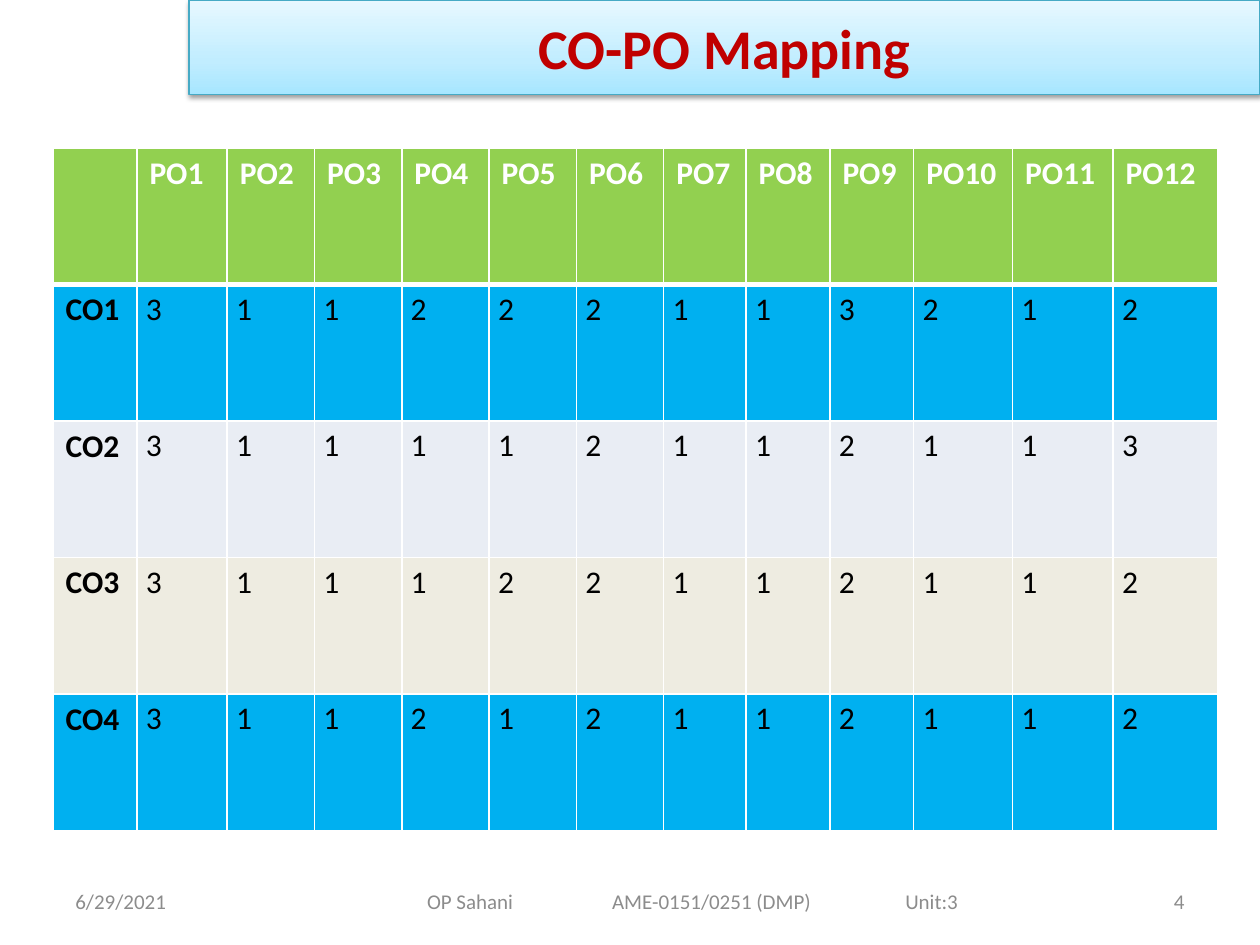
import dataclasses

import lxml.etree
import pptx
import pptx.dml.color
import pptx.enum.shapes
import pptx.enum.text
import pptx.oxml.ns
import pptx.util

Cm = pptx.util.Cm
Pt = pptx.util.Pt
ALIGN = pptx.enum.text.PP_ALIGN


@dataclasses.dataclass(frozen=True)
class Theme:
    """Colours, font and type sizes of the slide."""

    font: str = "Calibri"
    title_size: int = 32
    table_size: int = 18
    footer_size: int = 12
    title: str = "C00000"
    banner_line: str = "46AAC5"
    banner_stops: tuple = ((0, "A7E6FF"), (35, "C1EDFF"), (100, "E7F8FF"))
    shadow: str = "000000"
    footer: str = "8C8C8C"
    header_fill: str = "92D050"
    header_text: str = "FFFFFF"
    body_text: str = "000000"
    grid: str = "FFFFFF"
    row_fills: tuple = ("00B0F0", "E9EDF4", "EEECE1", "00B0F0")


THEME = Theme()
OUTCOMES = {
    "CO1": (3, 1, 1, 2, 2, 2, 1, 1, 3, 2, 1, 2),
    "CO2": (3, 1, 1, 1, 1, 2, 1, 1, 2, 1, 1, 3),
    "CO3": (3, 1, 1, 1, 2, 2, 1, 1, 2, 1, 1, 2),
    "CO4": (3, 1, 1, 2, 1, 2, 1, 1, 2, 1, 1, 2),
}
COLUMN_WIDTHS = (1.69, 1.82, *[1.76] * 5, 1.66, 1.69, 1.69, 1.99, 2.03, 2.11)


def rgb(code):
    """Return the colour for a hex code."""
    return pptx.dml.color.RGBColor.from_string(code)


def add_xml(parent, tag, **attributes):
    """Append a DrawingML element and return it."""
    values = {key: str(value) for key, value in attributes.items()}
    return lxml.etree.SubElement(parent, pptx.oxml.ns.qn(tag), values)


def write(frame, text, size, color, bold=False, align=ALIGN.LEFT):
    """Set the text of a frame, format it and return its paragraph."""
    frame.text = text
    paragraph = frame.paragraphs[0]
    paragraph.alignment = align
    for run in paragraph.runs:
        run.font.name = THEME.font
        run.font.size = Pt(size)
        run.font.bold = bold
        run.font.color.rgb = rgb(color)
    return paragraph


def add_banner(slide, left, top, width, height):
    """Draw the title banner with its gradient and soft shadow."""
    banner = slide.shapes.add_shape(
        pptx.enum.shapes.MSO_SHAPE.RECTANGLE, Cm(left), Cm(top), Cm(width), Cm(height)
    )
    banner.fill.gradient()
    banner.fill.gradient_angle = 90
    properties = banner.element.spPr
    stops = properties.find(".//" + pptx.oxml.ns.qn("a:gsLst"))
    stops.clear()
    for position, color in THEME.banner_stops:
        stop = add_xml(stops, "a:gs", pos=position * 1000)
        add_xml(stop, "a:srgbClr", val=color)
    banner.line.color.rgb = rgb(THEME.banner_line)
    banner.line.width = Pt(0.75)
    banner.shadow.inherit = False
    effects = properties.find(pptx.oxml.ns.qn("a:effectLst"))
    shadow = add_xml(
        effects, "a:outerShdw", blurRad=Pt(3.1), dist=Pt(1.6), dir=5400000, rotWithShape=0
    )
    add_xml(add_xml(shadow, "a:srgbClr", val=THEME.shadow), "a:alpha", val=38000)
    write(banner.text_frame, "CO-PO Mapping", THEME.title_size, THEME.title, True, ALIGN.CENTER)


def border_header(cell):
    """Give a header cell thin sides and a thick lower edge."""
    properties = cell._tc.get_or_add_tcPr()
    for index, (side, width) in enumerate((("L", 1), ("R", 1), ("T", 1), ("B", 3))):
        edge = add_xml(properties, f"a:ln{side}", w=Pt(width))
        add_xml(add_xml(edge, "a:solidFill"), "a:srgbClr", val=THEME.grid)
        properties.insert(index, edge)


def add_mapping(slide, left, top, width, height):
    """Draw the table of course outcomes against programme outcomes."""
    header = ["", *(f"PO{number}" for number in range(1, 13))]
    rows = [header, *([outcome, *levels] for outcome, levels in OUTCOMES.items())]
    fills = (THEME.header_fill, *THEME.row_fills)
    mapping = slide.shapes.add_table(
        len(rows), len(header), Cm(left), Cm(top), Cm(width), Cm(height)
    ).table
    mapping.horz_banding = False
    for column, share in zip(mapping.columns, COLUMN_WIDTHS):
        column.width = Cm(width * share / sum(COLUMN_WIDTHS))
    for row_index, (row, fill) in enumerate(zip(rows, fills)):
        for column_index, value in enumerate(row):
            cell = mapping.cell(row_index, column_index)
            is_header = row_index == 0
            is_level = not is_header and column_index > 0
            color = THEME.header_text if is_header else THEME.body_text
            entry = write(
                cell.text_frame, str(value), THEME.table_size, color, not is_level, ALIGN.JUSTIFY
            )
            cell.fill.solid()
            cell.fill.fore_color.rgb = rgb(fill)
            if is_header:
                border_header(cell)
            if is_level:
                cell.margin_left = cell.margin_right = Cm(0.18)
                cell.margin_top = cell.margin_bottom = 0
                entry.line_spacing = 1.15


def add_footer(slide, left, top, width, height):
    """Place the date, the course line and the page number."""
    side = 5.93
    course_left = 5.72
    parts = (
        ("6/29/2021", 0, side, ALIGN.LEFT),
        ("OP Sahani\tAME-0151/0251 (DMP)\tUnit:3", course_left, 13.97, ALIGN.LEFT),
        ("4", width - side, side, ALIGN.RIGHT),
    )
    for text, offset, part_width, align in parts:
        part = slide.shapes.add_textbox(
            Cm(left + offset), Cm(top), Cm(part_width), Cm(height)
        ).text_frame
        part.word_wrap = True
        part.vertical_anchor = pptx.enum.text.MSO_ANCHOR.MIDDLE
        line = write(part, text, THEME.footer_size, THEME.footer, align=align)
        if offset == course_left:
            part.margin_left = Cm(1.62)
            tabs = add_xml(line._p.get_or_add_pPr(), "a:tabLst")
            for position in (3.73, 9.64):
                add_xml(tabs, "a:tab", pos=Cm(position), algn="l")


def main():
    """Build the slide and save it."""
    deck = pptx.Presentation()
    deck.slide_width, deck.slide_height = Cm(25.4), Cm(19.05)
    slide = deck.slides.add_slide(deck.slide_layouts[6])
    add_mapping(slide, 1.07, 2.98, 23.48, 13.76)
    add_footer(slide, 1.27, 17.66, 22.86, 1.01)
    add_banner(slide, 3.81, 0, 21.59, 1.9)
    deck.save("out.pptx")


if __name__ == "__main__":
    main()
